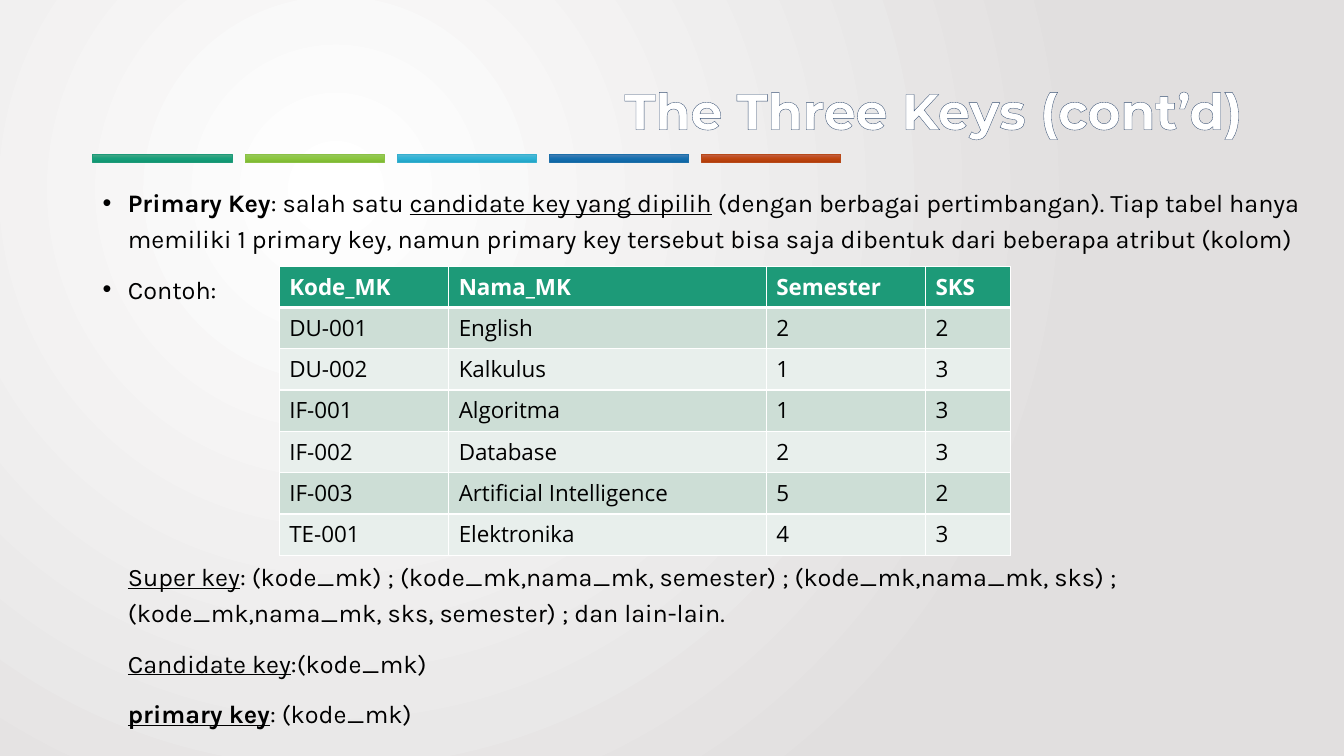
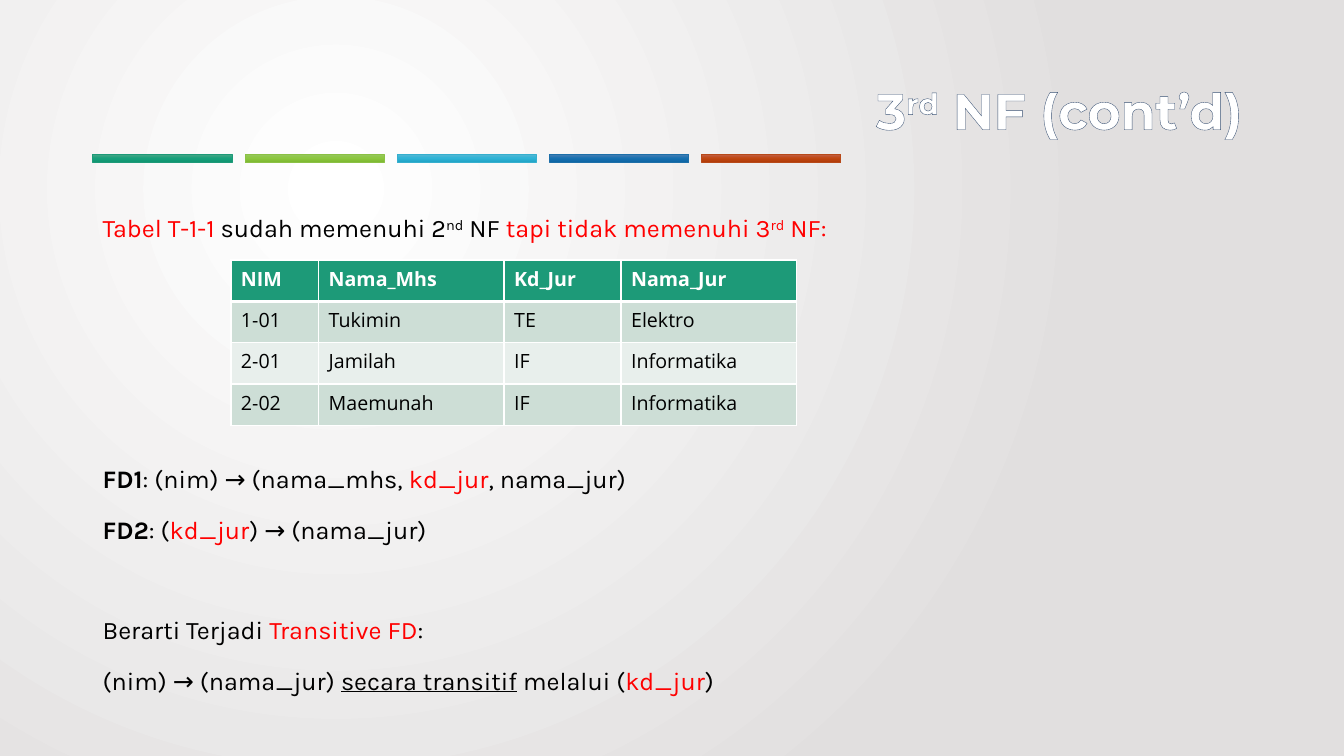
from pptx import Presentation
from pptx.dml.color import RGBColor
from pptx.enum import shapes, text
from pptx.oxml import parse_xml
from pptx.oxml.ns import nsdecls, qn
from pptx.util import Inches, Pt

WHITE = RGBColor(0xFF, 0xFF, 0xFF)
BLACK = RGBColor(0x00, 0x00, 0x00)
RED = RGBColor(0xFF, 0x00, 0x00)
TITLE_OUTLINE = RGBColor(0x3A, 0x52, 0x74)
HEADER_GREEN = RGBColor(0x1D, 0x9A, 0x78)
ROW_FILLS = [RGBColor(0xCD, 0xDE, 0xD6), RGBColor(0xE8, 0xEF, 0xEC)]

BACKGROUND_STOPS = ["FFFFFF", "E1DFDF"]
BACKGROUND_SHAPE = ('<a:path path="circle">'
                    '<a:fillToRect l="50000" t="50000" r="100000" b="100000"/></a:path>')
BAR_SHAPE = '<a:lin ang="5400000" scaled="0"/>'
# Line colour, then the gradient from top to bottom
BARS = [
    ("1D9A78", ["4EA788", "17A07B", "0F9470"]),
    ("8BC145", ["98C862", "8CC73F", "7DB831"]),
    ("36AFCE", ["59B8D4", "2EB3D6", "21A4C6"]),
    ("1D6FA9", ["4E80B5", "1670B0", "0D65A3"]),
    ("B74919", ["C2634D", "BF4611", "B13B08"]),
]

# Run formats
PLAIN = {}
BOLD = {"bold": True}
UNDERLINED = {"underline": True}
IN_RED = {"color": RED}
RAISED = {"raised": True}

SLIDES = [
    {
        "title": [("The Three Keys (cont’d)", PLAIN)],
        # Left, top, width, height, bulleted, paragraphs
        "texts": [
            (0.92, 1.75, 12.1, 1.4, True, [
                [("Primary Key", BOLD), (": salah satu ", PLAIN),
                 ("candidate key yang dipilih", UNDERLINED),
                 (" (dengan berbagai pertimbangan). Tiap tabel hanya memiliki 1 primary key, "
                  "namun primary key tersebut bisa saja dibentuk dari beberapa atribut (kolom)",
                  PLAIN)],
                [("Contoh:", PLAIN)],
            ]),
            (1.17, 5.46, 11.85, 1.9, False, [
                [("Super key", UNDERLINED),
                 (": (kode_mk) ; (kode_mk,nama_mk, semester) ; (kode_mk,nama_mk, sks) ; "
                  "(kode_mk,nama_mk, sks, semester) ; dan lain-lain.", PLAIN)],
                [("Candidate key", UNDERLINED), (":(kode_mk)", PLAIN)],
                [("primary key", BOLD | UNDERLINED), (": (kode_mk)", PLAIN)],
            ]),
        ],
        "table": {
            "left": 2.77, "top": 2.64, "size": 16, "columns": [1.68, 3.15, 1.58, 0.84],
            "rows": [
                ["Kode_MK", "Nama_MK", "Semester", "SKS"],
                ["DU-001", "English", "2", "2"],
                ["DU-002", "Kalkulus", "1", "3"],
                ["IF-001", "Algoritma", "1", "3"],
                ["IF-002", "Database", "2", "3"],
                ["IF-003", "Artificial Intelligence", "5", "2"],
                ["TE-001", "Elektronika", "4", "3"],
            ],
        },
    },
    {
        "title": [("3", PLAIN), ("rd", RAISED), (" NF (cont’d)", PLAIN)],
        "texts": [
            (0.92, 2, 11.5, 0.5, False, [
                [("Tabel T-1-1 ", IN_RED), ("sudah memenuhi 2", PLAIN), ("nd", RAISED),
                 (" NF ", PLAIN), ("tapi tidak memenuhi 3", IN_RED),
                 ("rd", IN_RED | RAISED), (" NF:", IN_RED)],
            ]),
            (0.92, 4.49, 11.5, 1, False, [
                [("FD1", BOLD), (": (nim) → (nama_mhs, ", PLAIN), ("kd_jur", IN_RED),
                 (", nama_jur)", PLAIN)],
                [("FD2", BOLD), (": (", PLAIN), ("kd_jur", IN_RED), (") → (nama_jur)", PLAIN)],
            ]),
            (0.92, 5.99, 11.5, 1, False, [
                [("Berarti Terjadi ", PLAIN), ("Transitive FD", IN_RED), (":", PLAIN)],
                [("(nim) → (nama_jur) ", PLAIN), ("secara transitif", UNDERLINED),
                 (" melalui (", PLAIN), ("kd_jur", IN_RED), (")", PLAIN)],
            ]),
        ],
        "table": {
            "left": 2.29, "top": 2.58, "size": 14, "columns": [0.87, 1.84, 1.16, 1.74],
            "rows": [
                ["NIM", "Nama_Mhs", "Kd_Jur", "Nama_Jur"],
                ["1-01", "Tukimin", "TE", "Elektro"],
                ["2-01", "Jamilah", "IF", "Informatika"],
                ["2-02", "Maemunah", "IF", "Informatika"],
            ],
        },
    },
]
ROW_HEIGHT = 0.41


def write_text(frame, paragraphs, font="Karla", size=18, color=BLACK, bold=False,
               align=None, line_spacing=None, space_before=0, bulleted=False, outline=None):
    """Fill a frame with paragraphs, each a list of (text, run format) pairs."""
    frame.word_wrap = True
    for index, runs in enumerate(paragraphs):
        paragraph = frame.add_paragraph() if index else frame.paragraphs[0]
        if bulleted:
            properties = paragraph._p.get_or_add_pPr()
            properties.set("marL", str(Inches(0.25)))
            properties.set("indent", str(Inches(-0.25)))
            for bullet in ('<a:buFont %s typeface="Arial"/>', '<a:buChar %s char="•"/>'):
                properties.append(parse_xml(bullet % nsdecls("a")))
        if align is not None:
            paragraph.alignment = align
        if line_spacing:
            paragraph.line_spacing = line_spacing
        if index and space_before:
            paragraph.space_before = Pt(space_before)
        for content, style in runs:
            run = paragraph.add_run()
            run.text = content
            run.font.name = font
            run.font.size = Pt(size)
            run.font.bold = style.get("bold", bold)
            run.font.underline = style.get("underline", False)
            run.font.color.rgb = style.get("color", color)
            run_properties = run._r.get_or_add_rPr()
            if style.get("raised"):
                run_properties.set("baseline", "30000")
            if outline is not None:
                run_properties.insert(0, parse_xml(
                    f'<a:ln {nsdecls("a")} w="{Pt(1)}"><a:solidFill>'
                    f'<a:srgbClr val="{outline}"/></a:solidFill></a:ln>'))


def set_gradient(owner, fill, colors, direction):
    """Give a fill evenly spaced colour stops and a linear or circular direction."""
    fill.gradient()
    old = owner.element.find(".//" + qn("a:gradFill"))
    step = 100000 // (len(colors) - 1)
    stops = "".join(f'<a:gs pos="{index * step}"><a:srgbClr val="{color}"/></a:gs>'
                    for index, color in enumerate(colors))
    old.getparent().replace(old, parse_xml(
        f'<a:gradFill {nsdecls("a")} rotWithShape="1"><a:gsLst>{stops}</a:gsLst>'
        f'{direction}</a:gradFill>'))


presentation = Presentation()
presentation.slide_width = Inches(13.33)
presentation.slide_height = Inches(7.5)
master = presentation.slide_master
set_gradient(master, master.background.fill, BACKGROUND_STOPS, BACKGROUND_SHAPE)

for content in SLIDES:
    slide = presentation.slides.add_slide(presentation.slide_layouts[6])

    for index, (line_color, colors) in enumerate(BARS):
        bar = slide.shapes.add_shape(
            shapes.MSO_SHAPE.RECTANGLE, Inches(0.92 + 1.51 * index), Inches(1.53),
            Inches(1.38), Inches(0.08))
        bar.shadow.inherit = False
        set_gradient(bar, bar.fill, colors, BAR_SHAPE)
        bar.line.color.rgb = RGBColor.from_string(line_color)
        bar.line.width = Pt(0.5)

    title = slide.shapes.add_textbox(Inches(0.92), Inches(0.4), Inches(11.5), Inches(1.45))
    title.text_frame.vertical_anchor = text.MSO_ANCHOR.MIDDLE
    write_text(title.text_frame, [content["title"]], font="Montserrat", size=36, color=WHITE,
               bold=True, align=text.PP_ALIGN.RIGHT, line_spacing=0.9, outline=TITLE_OUTLINE)

    for left, top, width, height, bulleted, paragraphs in content["texts"]:
        box = slide.shapes.add_textbox(Inches(left), Inches(top), Inches(width), Inches(height))
        write_text(box.text_frame, paragraphs, line_spacing=1.2, space_before=10,
                   bulleted=bulleted)

    layout = content["table"]
    rows, columns = layout["rows"], layout["columns"]
    table = slide.shapes.add_table(
        len(rows), len(columns), Inches(layout["left"]), Inches(layout["top"]),
        Inches(sum(columns)), Inches(ROW_HEIGHT * len(rows))).table
    for column, width in zip(table.columns, columns):
        column.width = Inches(width)
    for row_index, values in enumerate(rows):
        table.rows[row_index].height = Inches(ROW_HEIGHT)
        is_header = row_index == 0
        for column_index, value in enumerate(values):
            cell = table.cell(row_index, column_index)
            write_text(cell.text_frame, [[(value, PLAIN)]], font="Open Sans",
                       size=layout["size"], color=WHITE if is_header else BLACK, bold=is_header)
            for side in "LRTB":
                thick = (side == "B" and is_header) or (side == "T" and row_index == 1)
                cell._tc.get_or_add_tcPr().append(parse_xml(
                    f'<a:ln{side} {nsdecls("a")} w="{Pt(3 if thick else 1)}"><a:solidFill>'
                    f'<a:srgbClr val="{WHITE}"/></a:solidFill></a:ln{side}>'))
            cell.fill.solid()
            cell.fill.fore_color.rgb = HEADER_GREEN if is_header else ROW_FILLS[(row_index - 1) % 2]

presentation.save("out.pptx")
